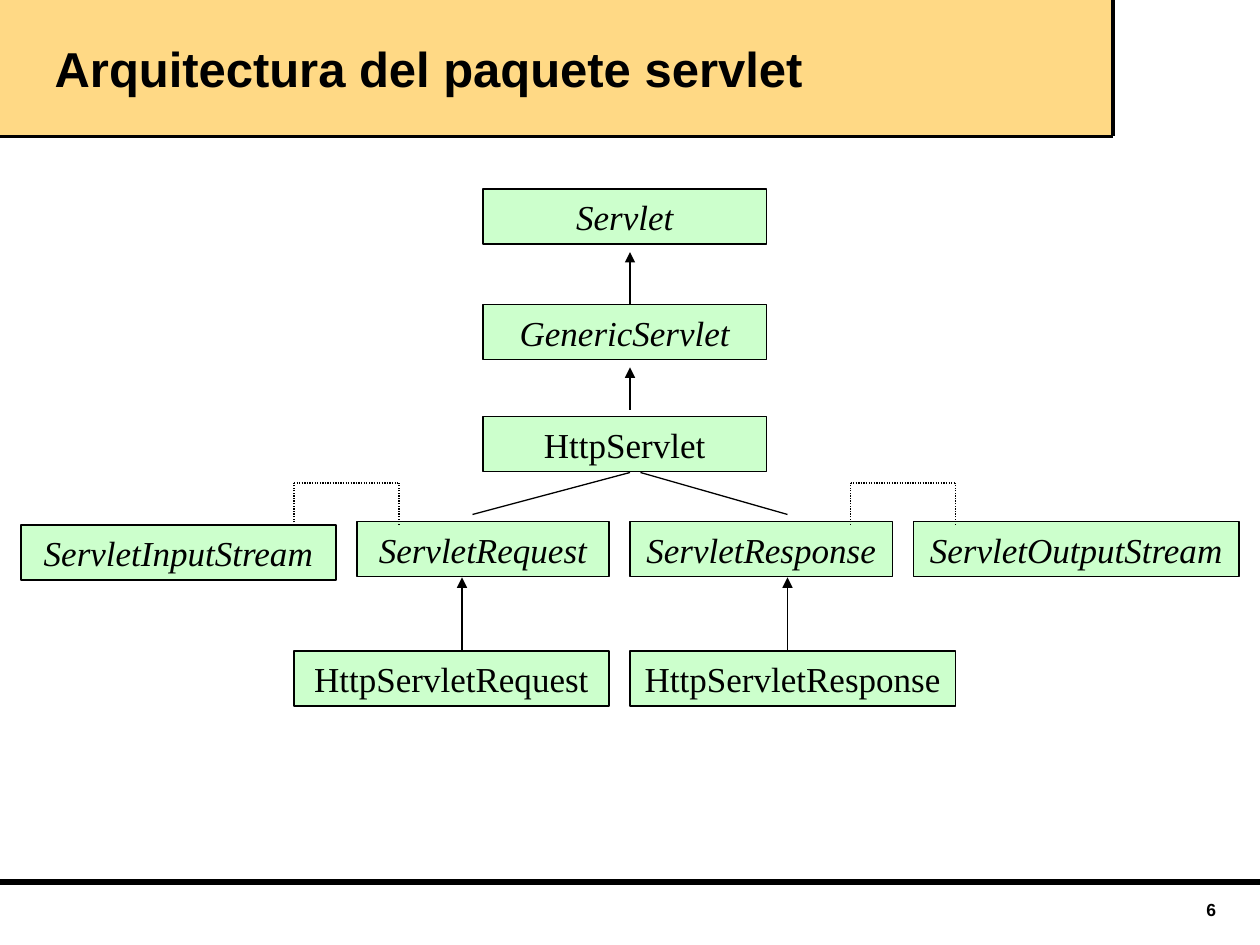
import pptx
import pptx.dml.color
import pptx.enum.dml
import pptx.enum.shapes
import pptx.enum.text
import pptx.oxml
import pptx.oxml.ns
import pptx.util
from lxml import etree

Pt = pptx.util.Pt
ALIGN = pptx.enum.text.PP_ALIGN
ANCHOR = pptx.enum.text.MSO_ANCHOR
BLACK = "000000"
BOX_HEIGHT = 31.5


def color(hex_string):
    """Return the colour for a hex string."""
    return pptx.dml.color.RGBColor.from_string(hex_string)


def write(shape, text, size, font_name, align, anchor, bold=False, italic=False):
    """Put one formatted paragraph into a shape."""
    text_frame = shape.text_frame
    text_frame.text = text
    text_frame.word_wrap = True
    text_frame.auto_size = pptx.enum.text.MSO_AUTO_SIZE.NONE
    text_frame.vertical_anchor = anchor
    paragraph = text_frame.paragraphs[0]
    paragraph.alignment = align
    font = paragraph.runs[0].font
    font.name, font.size = font_name, Pt(size)
    font.bold, font.italic = bold, italic
    font.color.rgb = color(BLACK)


def add_rectangle(slide, left, top, width, height, fill):
    """Add a filled rectangle without shadow or outline."""
    shape = slide.shapes.add_shape(
        pptx.enum.shapes.MSO_SHAPE.RECTANGLE, Pt(left), Pt(top), Pt(width), Pt(height))
    shape.shadow.inherit = False
    shape.fill.solid()
    shape.fill.fore_color.rgb = color(fill)
    shape.line.fill.background()
    return shape


def add_class_box(slide, name, left, top, width, abstract):
    """Add an outlined class box, italic when the type is abstract."""
    shape = add_rectangle(slide, left, top, width, BOX_HEIGHT, "CCFFCC")
    shape.line.color.rgb = color(BLACK)
    shape.line.width = Pt(0.75)
    write(shape, name, 20, "Times New Roman", ALIGN.CENTER, ANCHOR.MIDDLE, italic=abstract)


def add_line(slide, start, end, width=0.75, arrow=False, dotted=False):
    """Add a straight black line between two points."""
    connector = slide.shapes.add_connector(
        pptx.enum.shapes.MSO_CONNECTOR.STRAIGHT, *map(Pt, start + end))
    connector.line.color.rgb = color(BLACK)
    connector.line.width = Pt(width)
    if dotted:
        connector.line.dash_style = pptx.enum.dml.MSO_LINE.ROUND_DOT
    if arrow:
        line = connector.line._get_or_add_ln()
        etree.SubElement(line, pptx.oxml.ns.qn("a:tailEnd"), type="triangle")
    etree.SubElement(connector.element.spPr, pptx.oxml.ns.qn("a:effectLst"))


def add_bracket(slide, left, right, top=276, bottom=300):
    """Add a dotted bracket joining two neighbouring boxes."""
    for side in (left, right):
        add_line(slide, (side, bottom), (side, top), dotted=True)
    add_line(slide, (left, top), (right, top), dotted=True)


def add_frame(slide, heading, number):
    """Add the title banner, the rules and the page number."""
    title = slide.shapes.title
    banner = add_rectangle(slide, 0, 0, 636, 78, "FFD985")
    title.element.addprevious(banner.element)
    title.left, title.top, title.width, title.height = Pt(24), Pt(0), Pt(612), Pt(78)
    write(title, heading, 28, "Arial", ALIGN.LEFT, ANCHOR.MIDDLE, bold=True)
    add_line(slide, (0, 504), (720, 504), width=3)
    add_line(slide, (0, 78), (636, 78), width=2)
    add_line(slide, (636, 78), (636, 0), width=2)
    page_number = slide.shapes.add_textbox(Pt(546), Pt(510), Pt(156), Pt(18))
    write(page_number, number, 10, "Arial", ALIGN.RIGHT, ANCHOR.TOP, bold=True)


def main():
    """Build the servlet architecture slide."""
    presentation = pptx.Presentation()
    presentation.slide_width, presentation.slide_height = Pt(720), Pt(540)
    slide = presentation.slides.add_slide(presentation.slide_layouts[5])
    add_frame(slide, "Arquitectura del paquete servlet", "6")

    for name, left, top, width, abstract in (
        ("Servlet", 276, 108, 162, True),
        ("GenericServlet", 276, 174, 162, True),
        ("HttpServlet", 276, 238, 162, False),
        ("ServletInputStream", 12, 300, 180, True),
        ("ServletRequest", 204, 298, 144, True),
        ("ServletResponse", 360, 298, 150, True),
        ("ServletOutputStream", 522, 298, 186, True),
        ("HttpServletRequest", 168, 372, 180, False),
        ("HttpServletResponse", 360, 372, 186, False),
    ):
        add_class_box(slide, name, left, top, width, abstract)

    for x, bottom, top in ((360, 174, 144), (360, 234, 210), (264, 372, 330), (450, 372, 330)):
        add_line(slide, (x, bottom), (x, top), arrow=True)
    for start_x, end_x in ((360, 270), (366, 450)):
        add_line(slide, (start_x, 270), (end_x, 294))
    for left, right in ((168, 228), (486, 546)):
        add_bracket(slide, left, right)

    presentation.save("out.pptx")


if __name__ == "__main__":
    main()
